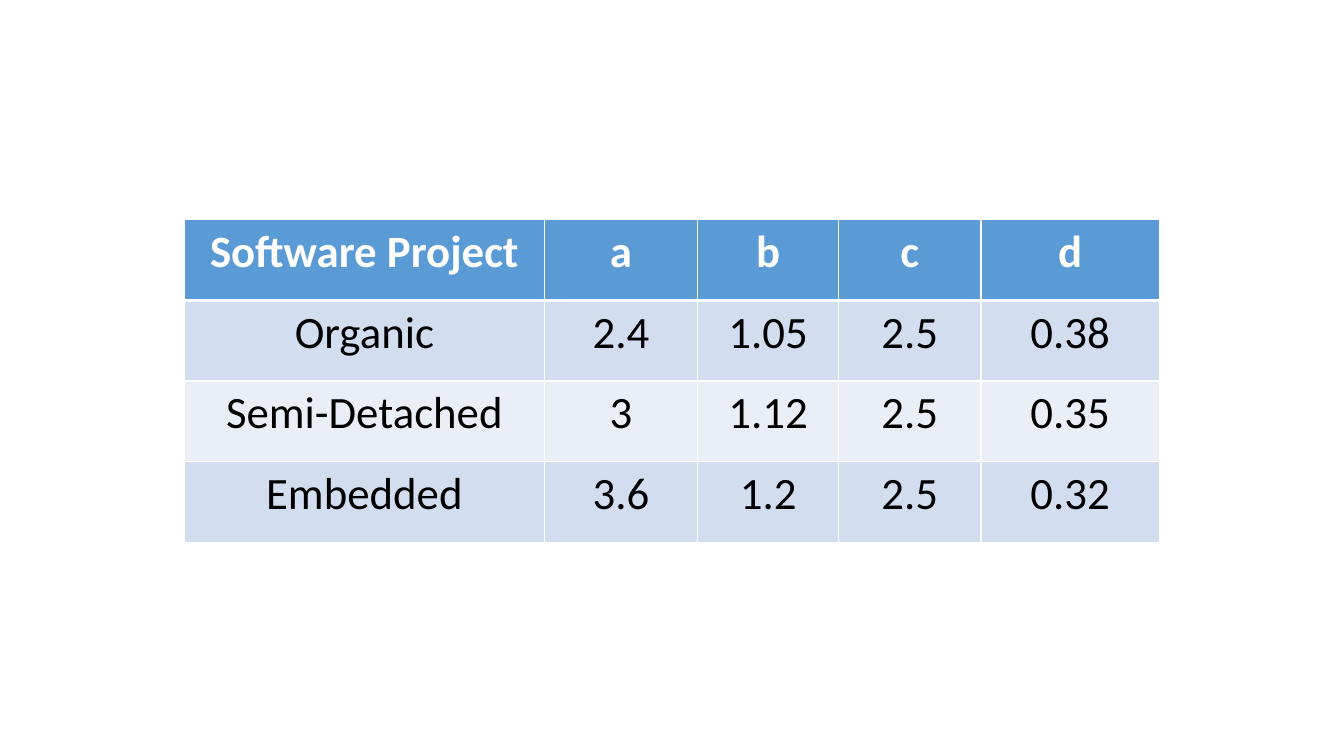
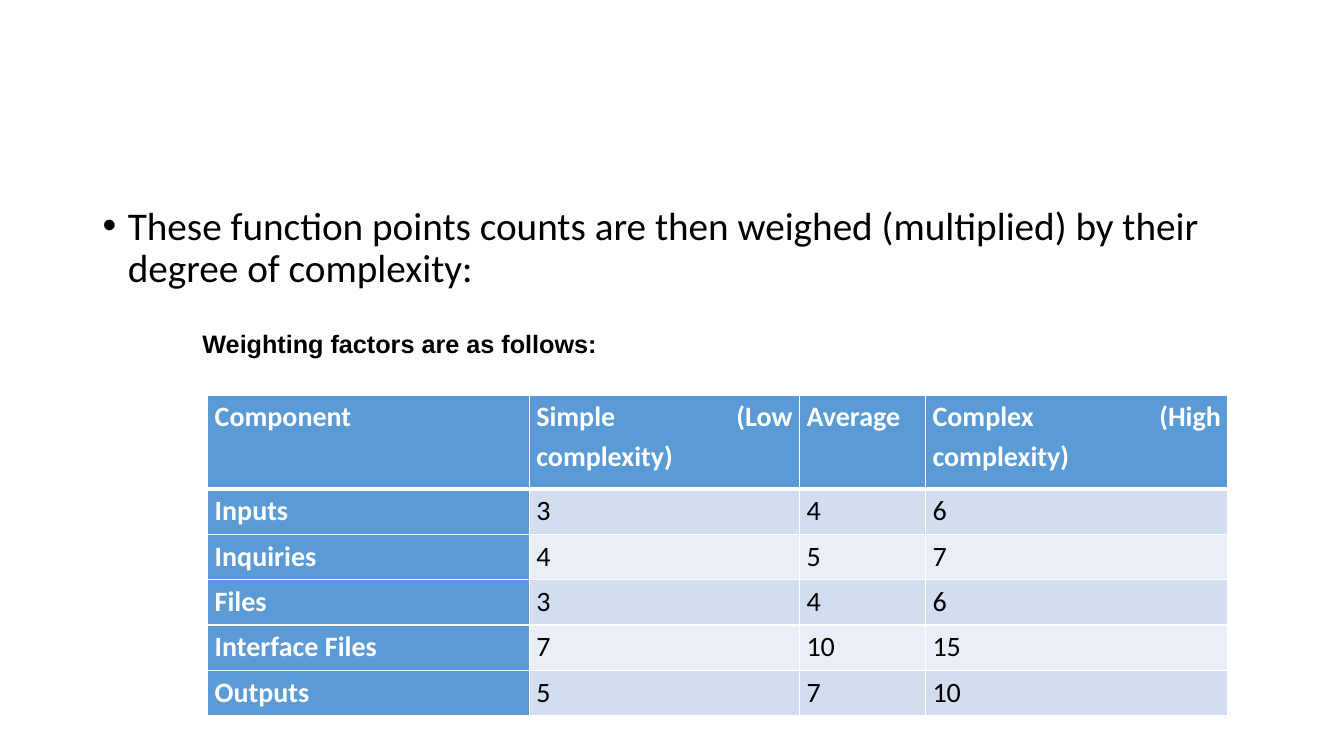
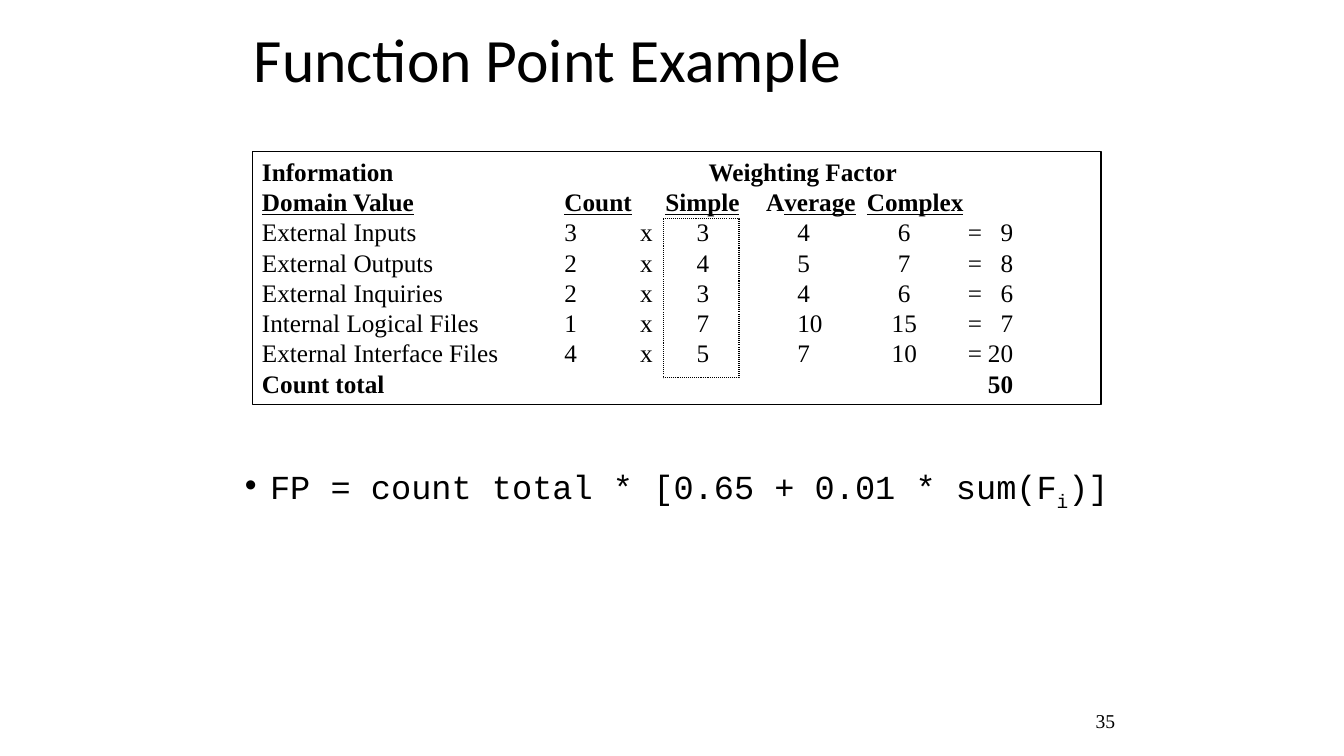
from pptx import Presentation
from pptx.dml.color import RGBColor
from pptx.enum.dml import MSO_LINE
from pptx.enum.shapes import MSO_SHAPE as Shape
from pptx.enum.text import MSO_ANCHOR as Anchor, PP_ALIGN as Align
from pptx.oxml.ns import qn
from pptx.util import Inches, Pt
from lxml.etree import SubElement as Sub

BLACK = RGBColor(0, 0, 0)
WHITE = RGBColor(255, 255, 255)
BLUE = RGBColor(0x5B, 0x9B, 0xD5)
BANDS = RGBColor(0xD2, 0xDE, 0xEF), RGBColor(0xEA, 0xEF, 0xF7)
SANS, SERIF, MONO = "Calibri", "Times New Roman", "Courier New"

MODES = [
    ("Software Project", "a", "b", "c", "d"),
    ("Organic", "2.4", "1.05", "2.5", "0.38"),
    ("Semi-Detached", "3", "1.12", "2.5", "0.35"),
    ("Embedded", "3.6", "1.2", "2.5", "0.32"),
]
WEIGHTS = [
    ("Component", "Simple (Low complexity)", "Average", "Complex (High complexity)"),
    ("Inputs", "3", "4", "6"),
    ("Inquiries", "4", "5", "7"),
    ("Files", "3", "4", "6"),
    ("Interface Files", "7", "10", "15"),
    ("Outputs", "5", "7", "10"),
]
POINTS = "These function points counts are then weighed (multiplied) by their degree of complexity:"
HEADS = [("Domain Value", True), ("\t", False), ("Count", True), ("\t", False),
         ("Simple", True), ("\tA", False), ("verage", True), ("\t", False),
         ("Complex", True)]
COUNTS = [
    ("External Inputs", "3", "x", "3", "4", "6", "=", "9"),
    ("External Outputs", "2", "x", "4", "5", "7", "=", "8"),
    ("External Inquiries", "2", "x", "3", "4", "6", "=", "6"),
    ("Internal Logical Files", "1", "x", "7", "10", "15", "=", "7"),
    ("External Interface Files", "4", "x", "5", "7", "10", "=", "20"),
]
TOP_TABS = [(4.43, "l")]
HEAD_TABS = [(3, "l"), (4, "l"), (5, "l"), (6, "l")]
SUM_TABS = [(7.45, "r")]
COUNT_TABS = [(3, "l"), (3.75, "l"), (4.31, "l"), (5.31, "l"), (6.37, "ctr"),
              (7, "l")] + SUM_TABS

deck = Presentation()
deck.slide_width, deck.slide_height = Inches(13.33), Inches(7.5)


def new_slide():
    return deck.slides.add_slide(deck.slide_layouts[6])


def add_run(para, text, size, face=SANS, color=BLACK, bold=False):
    run = para.add_run()
    run.text = text
    font = run.font
    font.size, font.name, font.bold = Pt(size), face, bold
    font.color.rgb = color
    return run


def add_box(slide, place, anchor=Anchor.TOP):
    frame = slide.shapes.add_textbox(*map(Inches, place)).text_frame
    frame.word_wrap = True
    frame.vertical_anchor = anchor
    return frame.paragraphs[0]


def add_bullet(slide, place):
    para = add_box(slide, place)
    para.line_spacing, para.space_before = 0.9, Pt(10)
    props = para._p.get_or_add_pPr()
    props.set("marL", str(Inches(0.25)))
    props.set("indent", str(Inches(-0.25)))
    Sub(props, qn("a:buFont"), typeface="Arial")
    Sub(props, qn("a:buChar"), char="•")
    return para


def add_frame(slide, place, dash=None):
    rect = slide.shapes.add_shape(Shape.RECTANGLE, *map(Inches, place))
    rect.shadow.inherit = False
    rect.fill.background()
    rect.line.color.rgb, rect.line.width = BLACK, Pt(0.75)
    if dash:
        rect.line.dash_style = dash
    return rect.text_frame


def set_tabs(para, tabs):
    stops = Sub(para._p.get_or_add_pPr(), qn("a:tabLst"))
    for pos, kind in tabs:
        Sub(stops, qn("a:tab"), pos=str(Inches(pos)), algn=kind)


def set_edges(cell, row):
    props = cell._tc.get_or_add_tcPr()
    thick = {0: "lnB", 1: "lnT"}.get(row)
    for side in ("lnL", "lnR", "lnT", "lnB"):
        edge = Sub(props, qn("a:" + side), w=str(Pt(3 if side == thick else 1)))
        Sub(Sub(edge, qn("a:solidFill")), qn("a:srgbClr"), val=str(WHITE))


def add_grid(slide, rows, left, top, widths, highs, size, align, side=False, tight=False):
    table = slide.shapes.add_table(
        len(rows), len(widths), Inches(left), Inches(top),
        Inches(sum(widths)), Inches(sum(highs))).table
    for col, width in zip(table.columns, widths):
        col.width = Inches(width)
    for line, high in zip(table.rows, highs):
        line.height = Inches(high)
    for r, row in enumerate(rows):
        for c, text in enumerate(row):
            cell = table.cell(r, c)
            head = r == 0 or (side and c == 0)
            set_edges(cell, r)
            cell.fill.solid()
            cell.fill.fore_color.rgb = BLUE if head else BANDS[(r - 1) % 2]
            para = cell.text_frame.paragraphs[0]
            para.alignment = align
            if tight:
                cell.margin_left = cell.margin_right = Inches(0.07)
                cell.margin_top = cell.margin_bottom = 0
                para.line_spacing = 1.15
            add_run(para, text, size, color=WHITE if head else BLACK, bold=head)


slide = new_slide()
add_grid(slide, MODES, 1.83, 2.18, (3.57, 1.52, 1.4, 1.41, 1.77), [0.8] * 4,
         32, Align.CENTER)

slide = new_slide()
add_run(add_bullet(slide, (0.92, 2, 11.5, 1.1)), POINTS, 28)
add_grid(slide, WEIGHTS, 2.06, 3.92, (3.19, 2.68, 1.25, 3), [0.93] + [0.45] * 5,
         20, Align.JUSTIFY, side=True, tight=True)
add_run(add_box(slide, (1.91, 3.21, 10, 0.4)), "Weighting factors are as follows:",
        18, "Arial", bold=True)

slide = new_slide()
para = add_bullet(slide, (2.33, 4.58, 8.92, 1.83))
add_run(para, "FP = count total * [0.65 + 0.01 * sum(F", 24, MONO)
low = add_run(para, "i", 24, MONO)
low.font._element.set("baseline", "-25000")
add_run(para, ")]", 24, MONO)

para = add_box(slide, (8.83, 6.95, 2.33, 0.4), Anchor.MIDDLE)
para.alignment = Align.RIGHT
add_run(para, "35", 14, SERIF)

para = add_box(slide, (2.42, 0, 8.5, 1.25), Anchor.MIDDLE)
para.line_spacing = 0.9
add_run(para, "Function Point Example", 44)

add_frame(slide, (6.58, 2.17, 0.75, 1.58), MSO_LINE.ROUND_DOT)
frame = add_frame(slide, (2.5, 1.5, 8.42, 2.51))
frame.word_wrap = True
frame.vertical_anchor = Anchor.TOP

lines = [([("Information\tWeighting Factor", False)], TOP_TABS, True),
         (HEADS, HEAD_TABS, True)]
lines += [([("\t".join(row), False)], COUNT_TABS, False) for row in COUNTS]
lines += [([("Count total\t50", False)], SUM_TABS, True)]
for n, (parts, tabs, bold) in enumerate(lines):
    para = frame.add_paragraph() if n else frame.paragraphs[0]
    para.alignment = Align.LEFT
    set_tabs(para, tabs)
    for text, under in parts:
        add_run(para, text, 18, SERIF, bold=bold).font.underline = under

deck.save("out.pptx")
